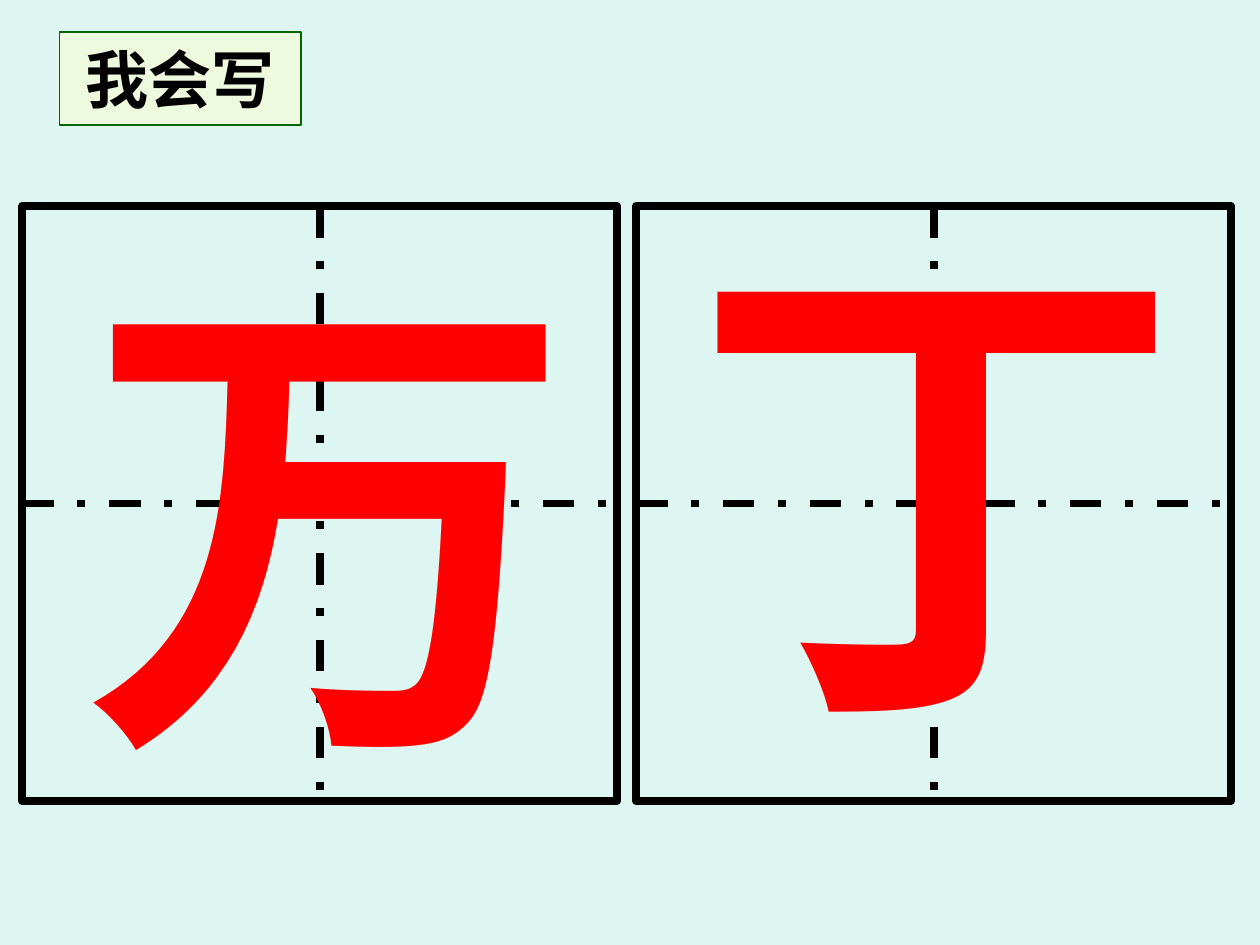
import pptx
import pptx.util
import pptx.dml.color
import pptx.enum.dml
import pptx.enum.shapes
import pptx.enum.text
import pptx.oxml
import pptx.oxml.ns
from pptx.util import Pt


def color(value):
    return pptx.dml.color.RGBColor.from_string(value)


def write(shape, text, size, value):
    shape.text_frame.text = text
    font = shape.text_frame.paragraphs[0].runs[0].font
    font.name = "Times New Roman"
    font.size = Pt(size)
    font.bold = True
    font.color.rgb = color(value)


deck = pptx.Presentation()
deck.slide_width, deck.slide_height = Pt(720), Pt(540)
page = deck.slides.add_slide(deck.slide_layouts[6])
page.background.fill.solid()
page.background.fill.fore_color.rgb = color("DEF6F1")
rectangle = pptx.enum.shapes.MSO_SHAPE.RECTANGLE

# Practice squares: left edge, character, and the character's box position
side, top = 340, 117.7
middle = top + side / 2
squares = [(12.7, "万", 41, 121), (363.5, "丁", 388, 100)]
for left, character, text_left, text_top in squares:
    group = page.shapes.add_group_shape()
    square = group.shapes.add_shape(rectangle, Pt(left), Pt(top), Pt(side), Pt(side))
    square.shadow.inherit = False
    square.fill.background()
    square.line.color.rgb = color("000000")
    square.line.width = Pt(4.5)

    # Dash-dot guides through the centre
    center = left + side / 2
    guides = [(left, middle, left + side, middle), (center, top, center, top + side)]
    for guide in guides:
        line = group.shapes.add_connector(
            pptx.enum.shapes.MSO_CONNECTOR.STRAIGHT, *[Pt(value) for value in guide])
        line.line.color.rgb = color("000000")
        line.line.width = Pt(4.5)
        line.line.dash_style = pptx.enum.dml.MSO_LINE.DASH_DOT
        line._element.spPr.append(pptx.oxml.parse_xml(
            "<a:effectLst %s/>" % pptx.oxml.ns.nsdecls("a")))

    # Large character
    box = page.shapes.add_textbox(Pt(text_left), Pt(text_top), Pt(289.5), Pt(343.5))
    box.text_frame.word_wrap = True
    write(box, character, 280, "FF0000")

# Title label
label = page.shapes.add_shape(rectangle, Pt(34), Pt(18.4), Pt(138), Pt(53))
label.shadow.inherit = False
label.fill.solid()
label.fill.fore_color.rgb = color("FFFFCC")
fill_color = label._element.spPr.find(".//" + pptx.oxml.ns.qn("a:srgbClr"))
fill_color.append(pptx.oxml.parse_xml(
    '<a:alpha %s val="50000"/>' % pptx.oxml.ns.nsdecls("a")))
label.line.color.rgb = color("006600")
label.line.width = Pt(1)
label.text_frame.word_wrap = False
label.text_frame.vertical_anchor = pptx.enum.text.MSO_ANCHOR.MIDDLE
write(label, "我会写", 36, "000000")
label.text_frame.paragraphs[0].alignment = pptx.enum.text.PP_ALIGN.CENTER

deck.save("out.pptx")
